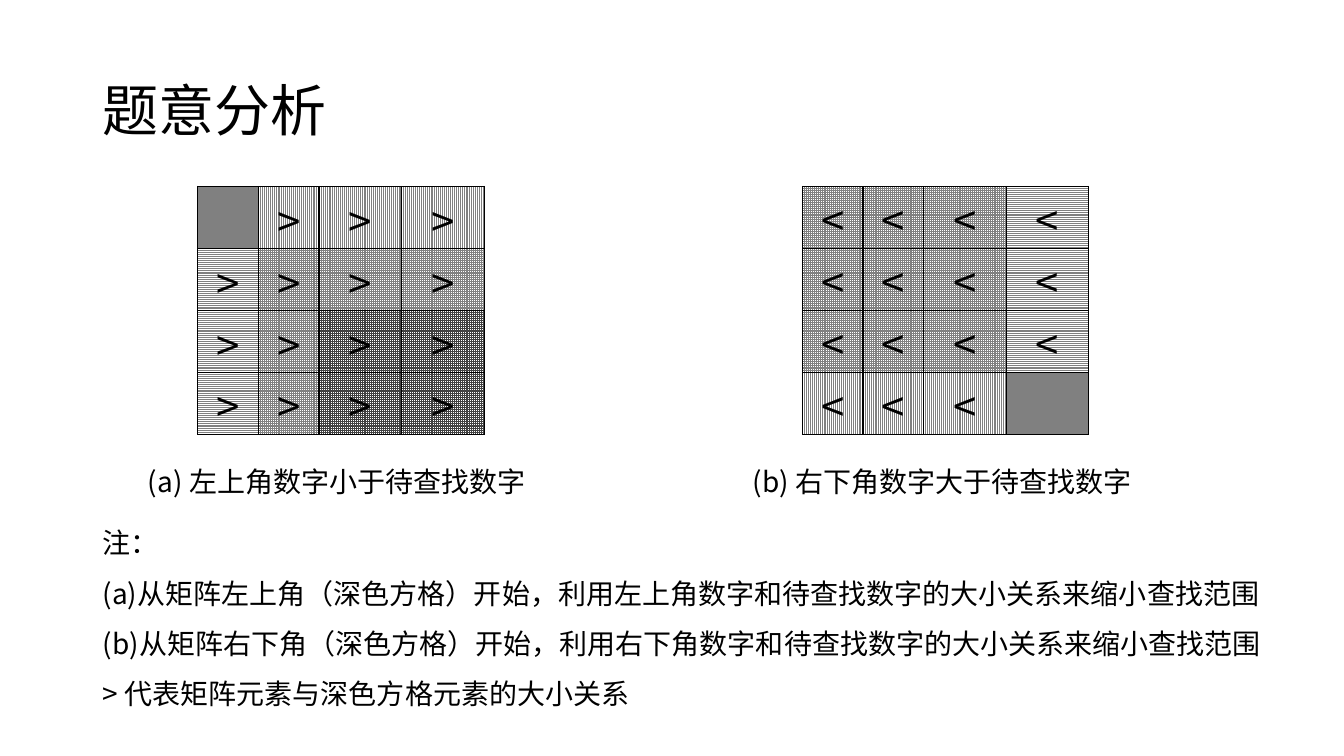
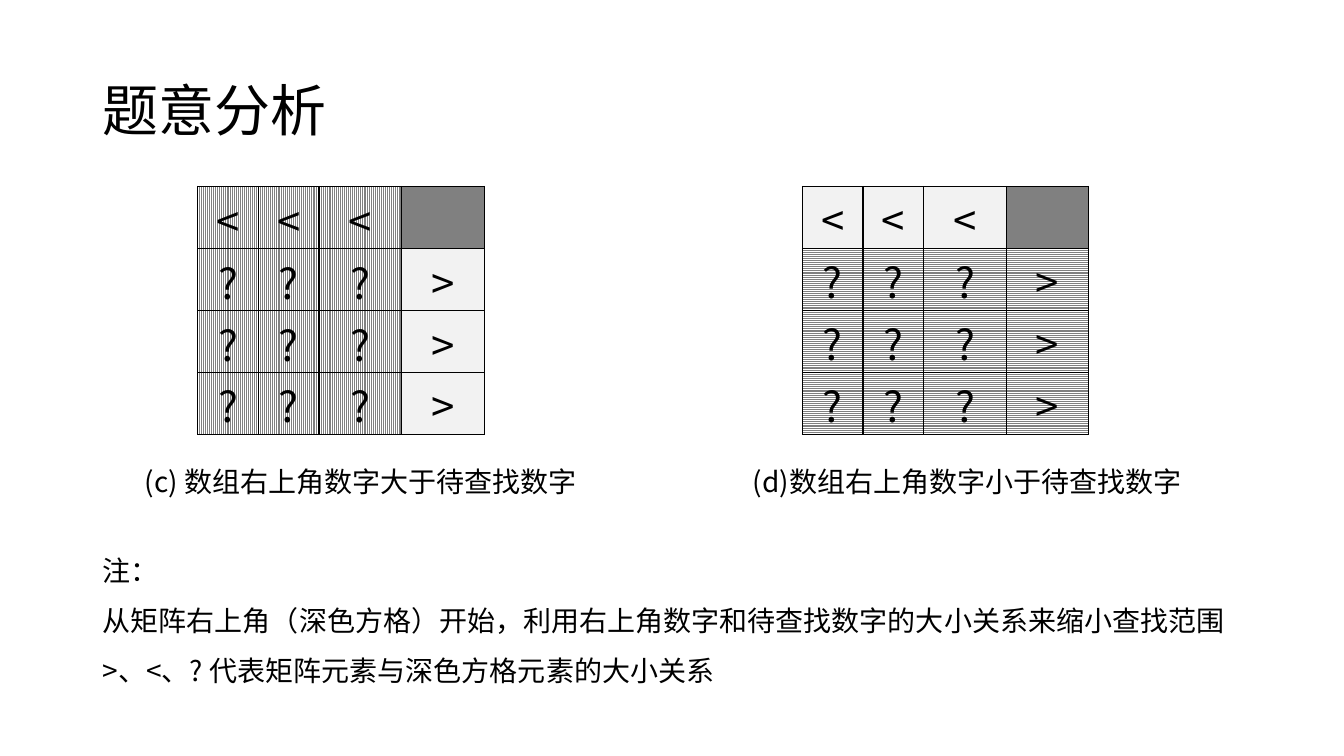
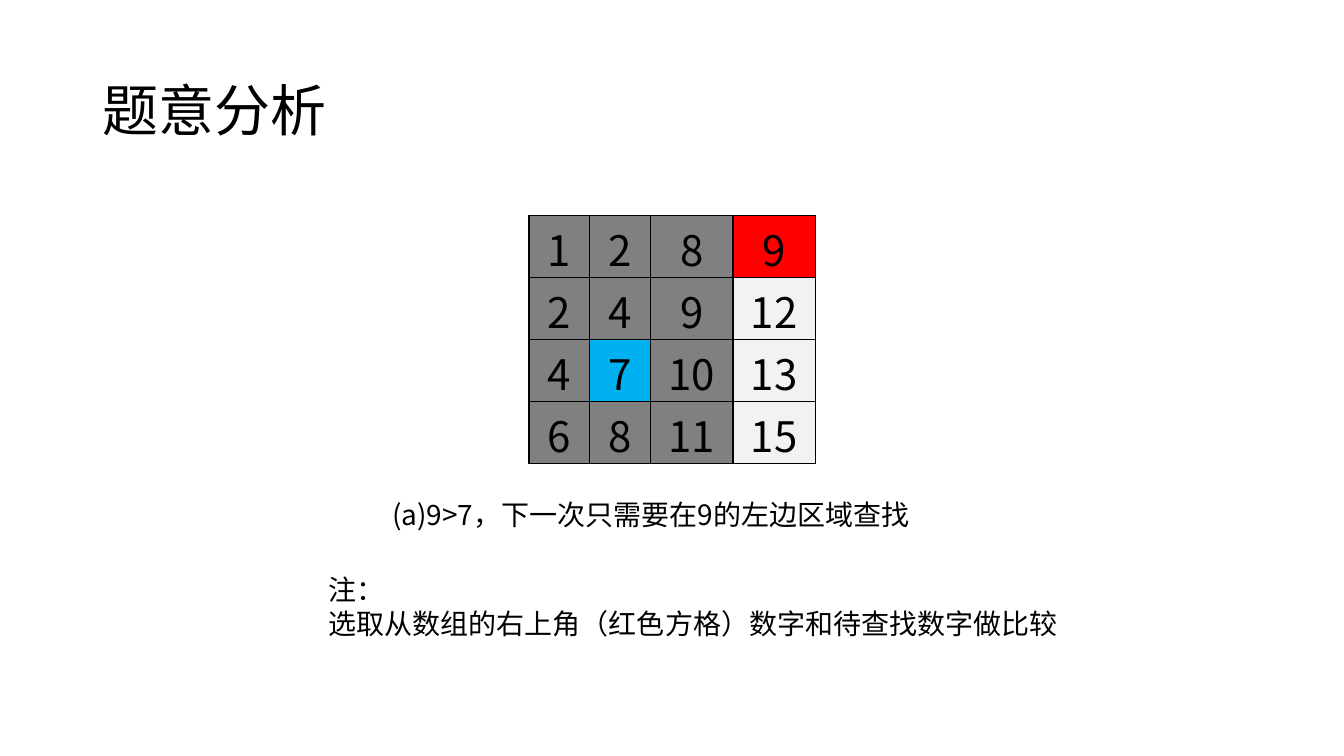
from lxml.etree import SubElement
from pptx import Presentation
from pptx.dml.color import RGBColor as Rgb
from pptx.enum.dml import MSO_PATTERN as Pattern
from pptx.enum.text import MSO_ANCHOR as Anchor, PP_ALIGN as Align
from pptx.oxml.ns import qn
from pptx.util import Cm, Pt

FONT = "Noto Sans CJK SC"
COLORS = {
    "ink": "000000", "paper": "FFFFFF", "dark": "404040", "grey": "808080",
    "light": "F2F2F2", "red": "FF0000", "blue": "00B0F0",
}
# One letter per cell look: (colour, pattern)
LOOKS = {
    "G": ("grey", None), "L": ("light", None),
    "R": ("red", None), "B": ("blue", None),
    "|": ("grey", Pattern.LIGHT_VERTICAL),
    "-": ("grey", Pattern.LIGHT_HORIZONTAL),
    "+": ("grey", Pattern.SMALL_GRID),
    "#": ("dark", Pattern.SMALL_GRID),
}
COLUMN_WIDTHS = (1.53, 1.53, 2.08, 2.08)
ROW_HEIGHT = 1.56
CELL_INSET = 0.05
MATRIX_TOP, CAPTION_TOP = 4.7, 11.58
LEFT_MATRIX, RIGHT_MATRIX = 4.98, 20.22
MARGIN = 2.34


def color(key):
    return Rgb.from_string(COLORS[key])


def write(frame, text, size=20, align=Align.LEFT, spacing=1.0):
    """Fill a text frame, one paragraph per line of text."""
    for index, line in enumerate(text.split("\n")):
        paragraph = frame.add_paragraph() if index else frame.paragraphs[0]
        paragraph.alignment = align
        paragraph.line_spacing = spacing
        run = paragraph.add_run()
        run.text = line
        run.font.size = Pt(size)
        run.font.color.rgb = color("ink")
        run.font.name = FONT
        SubElement(run.font._element, qn("a:ea"), typeface=FONT)


class Deck:
    def __init__(self):
        self.prs = Presentation()
        self.prs.slide_width, self.prs.slide_height = Cm(33.87), Cm(19.05)
        self.slide = None

    def new_slide(self, title):
        self.slide = self.prs.slides.add_slide(self.prs.slide_layouts[6])
        self.text(title, MARGIN, 1.01, 29.21, 3.68,
                  anchor=Anchor.MIDDLE, size=40, spacing=0.9)

    def text(self, text, left, top, width, height, anchor=Anchor.TOP, **style):
        box = self.slide.shapes.add_textbox(Cm(left), Cm(top), Cm(width), Cm(height))
        box.text_frame.word_wrap = True
        box.text_frame.vertical_anchor = anchor
        write(box.text_frame, text, **style)

    def matrix(self, left, values, looks, top=MATRIX_TOP, inset_top=CELL_INSET):
        """Draw a grid; a "_" value leaves its cell empty."""
        rows = [line.split() for line in values]
        table = self.slide.shapes.add_table(
            len(rows), len(COLUMN_WIDTHS), Cm(left), Cm(top),
            Cm(sum(COLUMN_WIDTHS)), Cm(ROW_HEIGHT * len(rows))).table
        table.first_row = table.horz_banding = False
        for column, width in zip(table.columns, COLUMN_WIDTHS):
            column.width = Cm(width)
        for r, row in enumerate(rows):
            table.rows[r].height = Cm(ROW_HEIGHT)
            for c, value in enumerate(row):
                cell = table.cell(r, c)
                cell.margin_left = cell.margin_right = Cm(CELL_INSET)
                cell.margin_top, cell.margin_bottom = Cm(inset_top), 0
                cell.vertical_anchor = Anchor.BOTTOM
                self.borders(cell)
                self.fill(cell, looks[r][c])
                if value != "_":
                    write(cell.text_frame, value, size=30, align=Align.CENTER)

    def borders(self, cell):
        properties = cell._tc.get_or_add_tcPr()
        for side in ("lnL", "lnR", "lnT", "lnB"):
            line = SubElement(properties, qn(f"a:{side}"), w=str(Pt(1)))
            solid = SubElement(line, qn("a:solidFill"))
            SubElement(solid, qn("a:srgbClr"), val=COLORS["ink"])

    def fill(self, cell, look):
        key, pattern = LOOKS[look]
        if pattern is None:
            cell.fill.solid()
        else:
            cell.fill.patterned()
            cell.fill.pattern = pattern
            cell.fill.back_color.rgb = color("paper")
        cell.fill.fore_color.rgb = color(key)


def main():
    deck = Deck()
    title = "题意分析"

    # Starting from the top-left or the bottom-right corner
    deck.new_slide(title)
    deck.matrix(LEFT_MATRIX, ["_ > > >"] + ["> > > >"] * 3,
                ["G|||", "-+++", "-+##", "-+##"])
    deck.text("(a) 左上角数字小于待查找数字", 3.48, CAPTION_TOP, 10.24, 1.11)
    deck.matrix(RIGHT_MATRIX, ["< < < <"] * 3 + ["< < < _"],
                ["+++-"] * 3 + ["|||G"], inset_top=0)
    deck.text("(b) 右下角数字大于待查找数字", 18.72, CAPTION_TOP, 10.24, 1.11)
    deck.text("注：\n"
              "(a)从矩阵左上角（深色方格）开始，利用左上角数字和待查找数字的大小关系来缩小查找范围\n"
              "(b)从矩阵右下角（深色方格）开始，利用右下角数字和待查找数字的大小关系来缩小查找范围\n"
              "> 代表矩阵元素与深色方格元素的大小关系",
              MARGIN, 12.7, 31.78, 5.23, spacing=1.5)

    # Starting from the top-right corner
    deck.new_slide(title)
    relations = ["< < < _"] + ["? ? ? >"] * 3
    deck.matrix(LEFT_MATRIX, relations, ["|||G"] + ["|||L"] * 3)
    deck.text("(c) 数组右上角数字大于待查找数字", 3.4, CAPTION_TOP, 12.6, 1.11)
    deck.matrix(RIGHT_MATRIX, relations, ["LLLG"] + ["----"] * 3, inset_top=0)
    deck.text("(d)数组右上角数字小于待查找数字", 18.72, CAPTION_TOP, 12.17, 1.11)
    deck.text("注：\n"
              "从矩阵右上角（深色方格）开始，利用右上角数字和待查找数字的大小关系来缩小查找范围\n"
              ">、<、? 代表矩阵元素与深色方格元素的大小关系",
              MARGIN, 13.39, 31.78, 3.96, spacing=1.5)

    # Worked example: looking for 7
    deck.new_slide(title)
    deck.matrix(13.33, ["1 2 8 9", "2 4 9 12", "4 7 10 13", "6 8 11 15"],
                ["GGGR", "GGGL", "GBGL", "GGGL"], top=5.44)
    deck.text("(a)9>7，下一次只需要在9的左边区域查找", 9.63, 12.4, 14.63, 1.11)
    deck.text("注：\n选取从数组的右上角（红色方格）数字和待查找数字做比较",
              8.03, 14.3, 19.76, 1.96)

    deck.prs.save("out.pptx")


if __name__ == "__main__":
    main()
